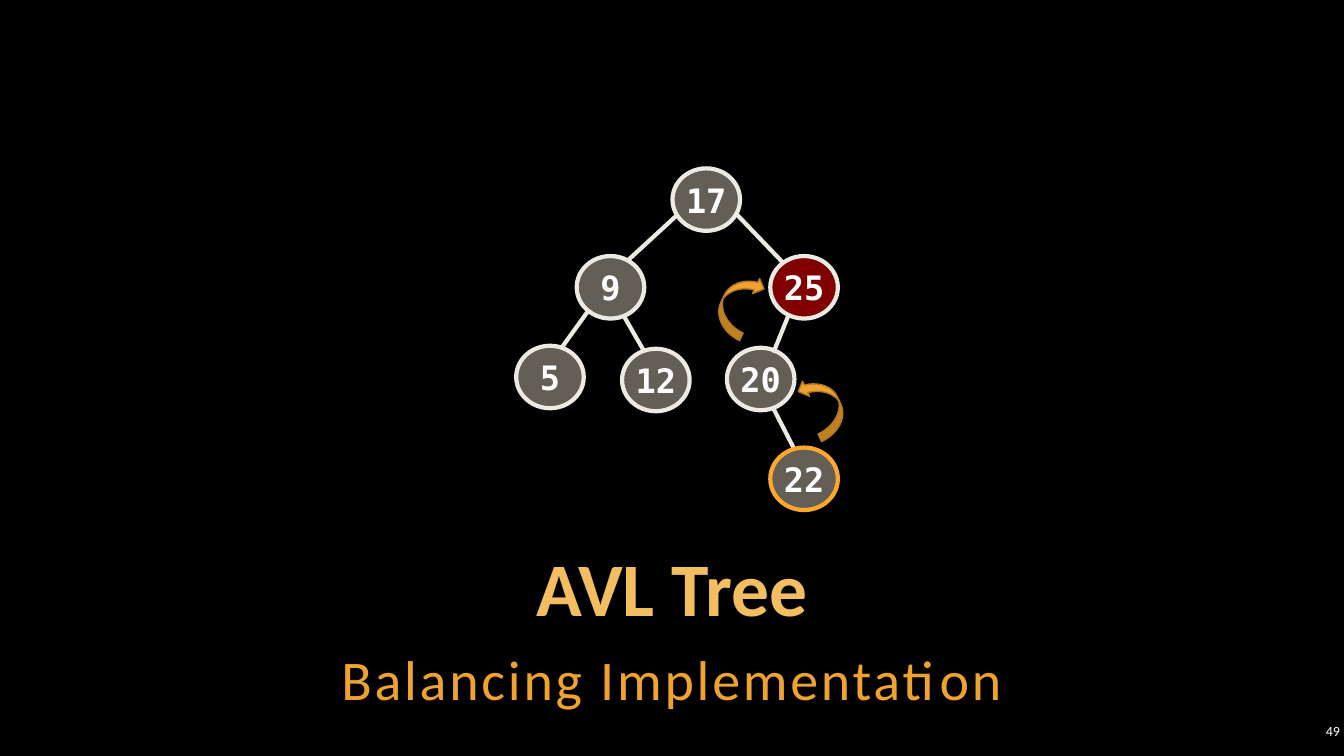
"""Build a slide that shows an AVL tree with its balancing path."""
from dataclasses import dataclass

from lxml.etree import SubElement
from pptx import Presentation
from pptx.dml.color import RGBColor
from pptx.enum.shapes import MSO_CONNECTOR, MSO_SHAPE
from pptx.enum.text import MSO_ANCHOR, PP_ALIGN
from pptx.oxml.ns import qn
from pptx.util import Inches, Pt


@dataclass(frozen=True)
class Theme:
    background: str = "000000"
    white: str = "FFFFFF"
    title: str = "F3BE60"
    accent: str = "F0A22E"
    accent_edge: str = "B27822"
    node: str = "C7BFAC"
    unbalanced: str = "FF0000"
    outline: str = "ECEAE3"
    inserted: str = "FFA72A"
    body_font: str = "Calibri"
    code_font: str = "DejaVu Sans Mono"
    title_size: int = 54
    subtitle_size: int = 40
    node_size: int = 24
    number_size: int = 10
    node_line: int = 3
    arrow_line: int = 1


def write_text(box, text, *, font, size, color, bold=False, align=PP_ALIGN.CENTER,
               anchor=MSO_ANCHOR.MIDDLE, wrap=True, inset=0.04, line_spacing=None,
               space_after=0, tracking=0):
    frame = box.text_frame
    frame.word_wrap = wrap
    frame.vertical_anchor = anchor
    frame.margin_left = frame.margin_right = Inches(inset)
    frame.margin_top = frame.margin_bottom = Inches(inset)
    para = frame.paragraphs[0]
    para.alignment = align
    para.line_spacing = line_spacing
    para.space_before, para.space_after = Pt(0), Pt(space_after)
    span = para.add_run()
    span.text = text
    span.font.name, span.font.size, span.font.bold = font, Pt(size), bold
    span.font.color.rgb = RGBColor.from_string(color)
    properties = span.font._element
    properties.set("cap", "none")
    properties.set("spc", str(tracking * 100))


class TreeSlide:
    def __init__(self, deck, theme):
        self.theme = theme
        self.page = deck.slides.add_slide(deck.slide_layouts.get_by_name("Section Header"))
        for holder in list(self.page.placeholders):
            if holder.placeholder_format.idx > 1:
                holder._element.getparent().remove(holder._element)
        self.paint(self.page.background.fill, theme.background)

    def paint(self, fill, color, opacity=100):
        fill.solid()
        fill.fore_color.rgb = RGBColor.from_string(color)
        if opacity < 100:
            tint = fill._xPr.find(qn("a:solidFill"))[0]
            SubElement(tint, qn("a:alpha"), val=str(opacity * 1000))

    def stroke(self, line, color, width):
        line.color.rgb = RGBColor.from_string(color)
        line.width = Pt(width)

    def holder(self, index, text, bounds, **style):
        box = self.page.placeholders[index]
        box.left, box.top, box.width, box.height = map(Inches, bounds)
        write_text(box, text, font=self.theme.body_font, **style)

    def label(self, text, bounds, **style):
        box = self.page.shapes.add_textbox(*map(Inches, bounds))
        write_text(box, text, font=self.theme.body_font, **style)

    def shape(self, kind, bounds, fill, line, width, opacity=100):
        box = self.page.shapes.add_shape(kind, *map(Inches, bounds))
        box.shadow.inherit = False
        self.paint(box.fill, fill, opacity)
        self.stroke(box.line, line, width)
        return box

    def node(self, value, left, top, fill=None, line=None):
        theme = self.theme
        box = self.shape(MSO_SHAPE.OVAL, (left, top, 0.67, 0.62), fill or theme.node,
                         line or theme.outline, theme.node_line, opacity=50)
        write_text(box, str(value), font=theme.code_font, size=theme.node_size,
                   color=theme.white, bold=True, wrap=False)

    def edge(self, start, end):
        line = self.page.shapes.add_connector(
            MSO_CONNECTOR.STRAIGHT, *map(Inches, (*start, *end)))
        self.stroke(line.line, self.theme.outline, self.theme.node_line)
        SubElement(line._element.spPr, qn("a:effectLst"))

    def arrow(self, kind, bounds, rotation):
        theme = self.theme
        box = self.shape(kind, bounds, theme.accent, theme.accent_edge, theme.arrow_line)
        box.rotation = rotation


def main():
    theme = Theme()
    deck = Presentation()
    deck.slide_width, deck.slide_height = Inches(13.33), Inches(7.5)
    slide = TreeSlide(deck, theme)

    slide.holder(0, "AVL Tree", (1, 5.42, 11.33, 0.9), size=theme.title_size,
                 color=theme.title, bold=True, anchor=MSO_ANCHOR.BOTTOM, line_spacing=0.9)
    slide.holder(1, "Balancing Implementation", (1, 6.29, 11.33, 0.82),
                 size=theme.subtitle_size, color=theme.accent, anchor=MSO_ANCHOR.TOP,
                 line_spacing=1.1, space_after=6, tracking=2)
    slide.label("49", (12.86, 7.14, 0.47, 0.22), size=theme.number_size,
                color=theme.white, align=PP_ALIGN.RIGHT)

    edges = [
        ((6.72, 2.13), (6.22, 2.59)),
        ((5.83, 3.09), (5.57, 3.45)),
        ((6.19, 3.14), (6.38, 3.47)),
        ((7.3, 2.12), (7.77, 2.61)),
        ((7.82, 3.13), (7.67, 3.5)),
        ((7.67, 4.05), (7.87, 4.44)),
    ]
    for start, end in edges:
        slide.edge(start, end)

    nodes = [(17, 6.67, 1.67), (9, 5.72, 2.54), (5, 5.12, 3.43),
             (12, 6.17, 3.46), (20, 7.21, 3.45)]
    for value, left, top in nodes:
        slide.node(value, left, top)
    slide.node(25, 7.64, 2.54, fill=theme.unbalanced)
    slide.node(22, 7.64, 4.44, line=theme.inserted)

    slide.arrow(MSO_SHAPE.CURVED_UP_ARROW, (7.85, 3.86, 0.63, 0.33), 245)
    slide.arrow(MSO_SHAPE.CURVED_DOWN_ARROW, (7, 2.85, 0.65, 0.33), 295.3)
    deck.save("out.pptx")


if __name__ == "__main__":
    main()
